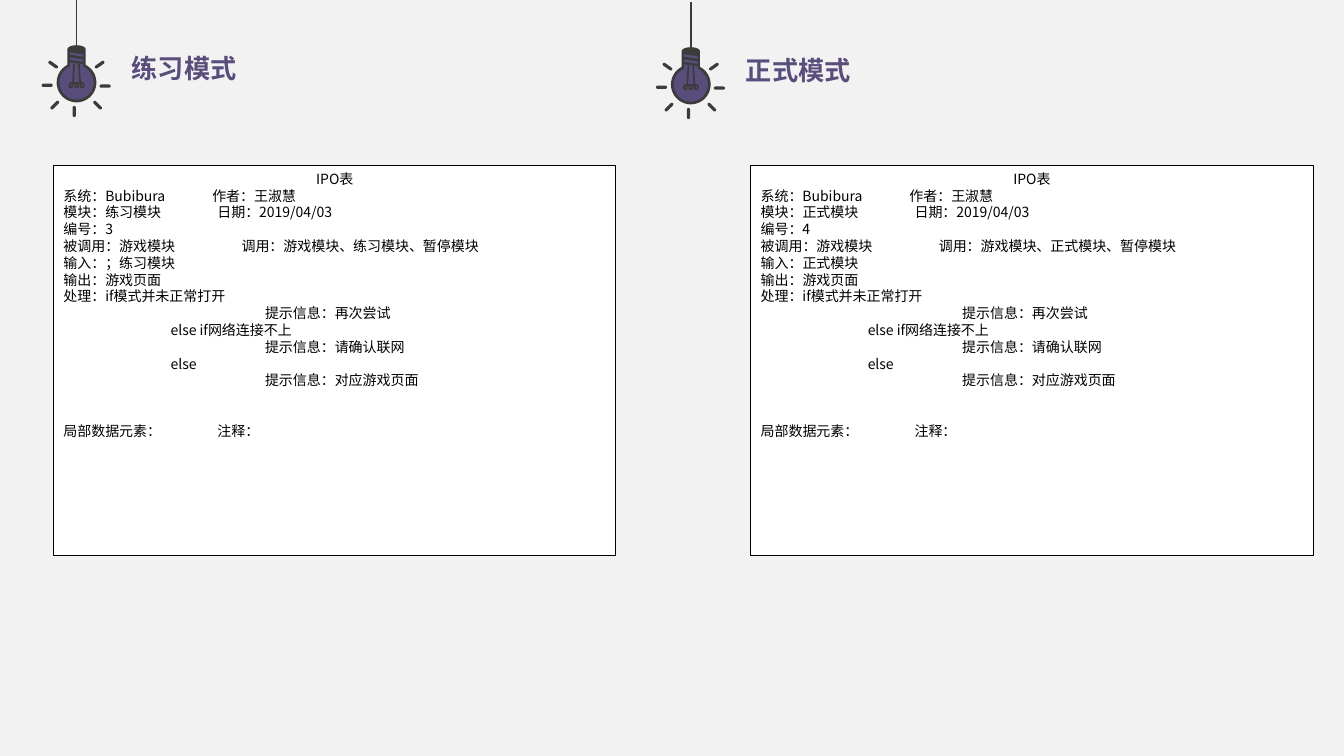
import math
from dataclasses import dataclass

from lxml import etree
from pptx import Presentation
from pptx import util as u
from pptx.dml.color import RGBColor
from pptx.enum import shapes, text
from pptx.oxml import ns


@dataclass(frozen=True)
class Theme:
    back: str = "F2F2F2"
    plum: str = "594D7B"
    dark: str = "3B3B3B"
    white: str = "FFFFFF"
    black: str = "000000"
    latin: str = "Arial"
    sans: str = "Noto Sans CJK SC"
    head: float = 18.7
    body: float = 10
    lead: float = 12


T = Theme()
cm = u.Cm
KIND = shapes.MSO_SHAPE
MID = text.PP_ALIGN.CENTER

# Offsets from the cord in cm: across, down, turn in degrees
RAYS = [(0.72, 2.17, 0), (-0.06, 2.81, 90), (-0.74, 2.15, 0), (-0.59, 1.63, 35),
        (0.58, 1.63, 145), (-0.55, 2.65, 135), (0.53, 2.65, 45)]


def rgb(code):
    return RGBColor.from_string(code)


def put(item, form):
    for name, value in form.items():
        setattr(item, name, value)


def child(node, tag, **attrs):
    return etree.SubElement(node, ns.qn(tag), attrs)


def paint(shape, fill=None, line=None, width=1):
    shape.shadow.inherit = False
    for part, color in ((shape.fill, fill), (shape.line.fill, line)):
        if color:
            part.solid()
            part.fore_color.rgb = rgb(color)
        else:
            part.background()
    if line:
        shape.line.width = u.Pt(width)


def style(run, font, size, color, bold=False):
    put(run.font, {"name": font, "size": u.Pt(size), "bold": bold})
    run.font.color.rgb = rgb(color)
    child(run.font._element, "a:ea", typeface=T.sans)


def globe(r, half, top):
    """Outline of a round bulb with a neck, whose upper edge is top."""
    mid = 2.08
    start = math.asin(half / r)
    turns = [start + (2 * math.pi - 2 * start) * i / 60 for i in range(61)]
    return [(r * math.sin(t), mid - r * math.cos(t)) for t in turns] + top


def bulb(slide, x, y):
    """Hanging lamp; x is the cord and y its upper end, in cm."""
    group = slide.shapes.add_group_shape().shapes

    def trace(points, close=True, **look):
        spots = [(cm(x + a), cm(y + b)) for a, b in points]
        pen = group.build_freeform(*spots[0], scale=1.0)
        pen.add_line_segments(spots[1:], close=close)
        paint(pen.convert_to_shape(), **look)

    def block(kind, a, b, wide, high, turn=0, **look):
        """Preset shape centred on a, b."""
        shape = group.add_shape(kind, cm(x + a - wide / 2), cm(y + b - high / 2),
                                cm(wide), cm(high))
        shape.rotation = turn
        paint(shape, **look)
        return shape

    cap = [(0.23 * math.cos(t), 1.24 - 0.1 * math.sin(t))
           for t in (math.pi * (1 - i / 12) for i in range(13))]
    trace(globe(0.5, 0.23, cap), fill=T.dark)
    half = 0.17
    trace(globe(0.43, half, [(-half, 1.57), (half, 1.62)]), fill=T.plum)
    for top in (1.32, 1.45):
        trace([(-half, top), (half, top + 0.05), (half, top + 0.11),
               (-half, top + 0.06)], fill=T.plum)

    wire = {"line": T.dark, "width": 1.2}
    for side in (-1, 1):
        trace([(side * 0.06, 1.6), (side * 0.09, 2.08)], close=False, **wire)
    trace([(-0.14, 2.09), (0.14, 2.09)], close=False, **wire)
    for a in (-0.14, 0, 0.14):
        block(KIND.OVAL, a, 2.15, 0.08, 0.11, **wire)

    for a, b, turn in RAYS:
        ray = block(KIND.ROUNDED_RECTANGLE, a, b, 0.28, 0.08, turn, fill=T.dark)
        ray.adjustments[0] = 0.5

    cord = group.add_connector(shapes.MSO_CONNECTOR.STRAIGHT,
                               cm(x), cm(y + 1.24), cm(x), cm(y))
    cord.line.color.rgb = rgb(T.dark)
    cord.line.width = u.Pt(1)
    child(cord._element.spPr, "a:effectLst")


def header(slide, x, y, title):
    bulb(slide, x, y)
    box = slide.shapes.add_textbox(cm(x + 1.14), cm(y + 1.19), cm(3.18), cm(1.07))
    put(box.text_frame, {"word_wrap": False,
                         "auto_size": text.MSO_AUTO_SIZE.SHAPE_TO_FIT_TEXT})
    run = box.text_frame.paragraphs[0].add_run()
    run.text = title
    style(run, T.latin, T.head, T.plum, True)


def rows(mode, code, entry):
    """Lines of an IPO form: wording, format, tab stop and indent in cm."""
    left = {"alignment": text.PP_ALIGN.LEFT}
    near, deep = 2.7, 5.08
    return [
        ("IPO表", {"alignment": MID}, 0, 0),
        ("系统：Bubibura\t作者：王淑慧", left, 3.75, 0),
        (f"模块：{mode}模块\t日期：2019/04/03", left, 3.88, 0),
        (f"编号：{code}", left, 0, 0),
        (f"被调用：游戏模块\t调用：游戏模块、{mode}模块、暂停模块", left, 4.49, 0),
        (f"输入：{entry}", left, 0, 0),
        ("输出：游戏页面", left, 0, 0),
        ("处理：if模式并未正常打开", left, 0, 0),
        ("提示信息：再次尝试", left, 0, deep),
        ("else if网络连接不上", left, 0, near),
        ("提示信息：请确认联网", left, 0, deep),
        ("else", left, 0, near),
        ("提示信息：对应游戏页面", left, 0, deep),
        ("局部数据元素：\t注释：", {**left, "space_before": u.Pt(2 * T.lead)}, 3.88, 0),
    ]


def card(slide, x, y, wide, high, lines):
    box = slide.shapes.add_shape(KIND.RECTANGLE, cm(x), cm(y), cm(wide), cm(high))
    paint(box, T.white, T.black, 0.5)
    frame = box.text_frame
    put(frame, {"word_wrap": True, "vertical_anchor": text.MSO_ANCHOR.TOP})
    for i, (words, form, stop, indent) in enumerate(lines):
        para = frame.add_paragraph() if i else frame.paragraphs[0]
        put(para, {"line_spacing": u.Pt(T.lead), **form})
        props = para._p.get_or_add_pPr()
        if indent:
            props.set("marL", str(cm(indent)))
        if stop:
            child(child(props, "a:tabLst"), "a:tab", pos=str(cm(stop)), algn="l")
        run = para.add_run()
        run.text = words
        style(run, T.sans, T.body, T.black)


def main():
    deck = Presentation()
    put(deck, {"slide_width": cm(33.87), "slide_height": cm(19.05)})
    slide = deck.slides.add_slide(deck.slide_layouts[6])
    slide.background.fill.solid()
    slide.background.fill.fore_color.rgb = rgb(T.back)

    header(slide, 1.93, 0, "练习模式")
    header(slide, 17.41, 0.05, "正式模式")
    card(slide, 1.35, 4.17, 14.17, 9.83, rows("练习", 3, "；练习模块"))
    card(slide, 18.92, 4.17, 14.17, 9.83, rows("正式", 4, "正式模块"))
    deck.save("out.pptx")


if __name__ == "__main__":
    main()
